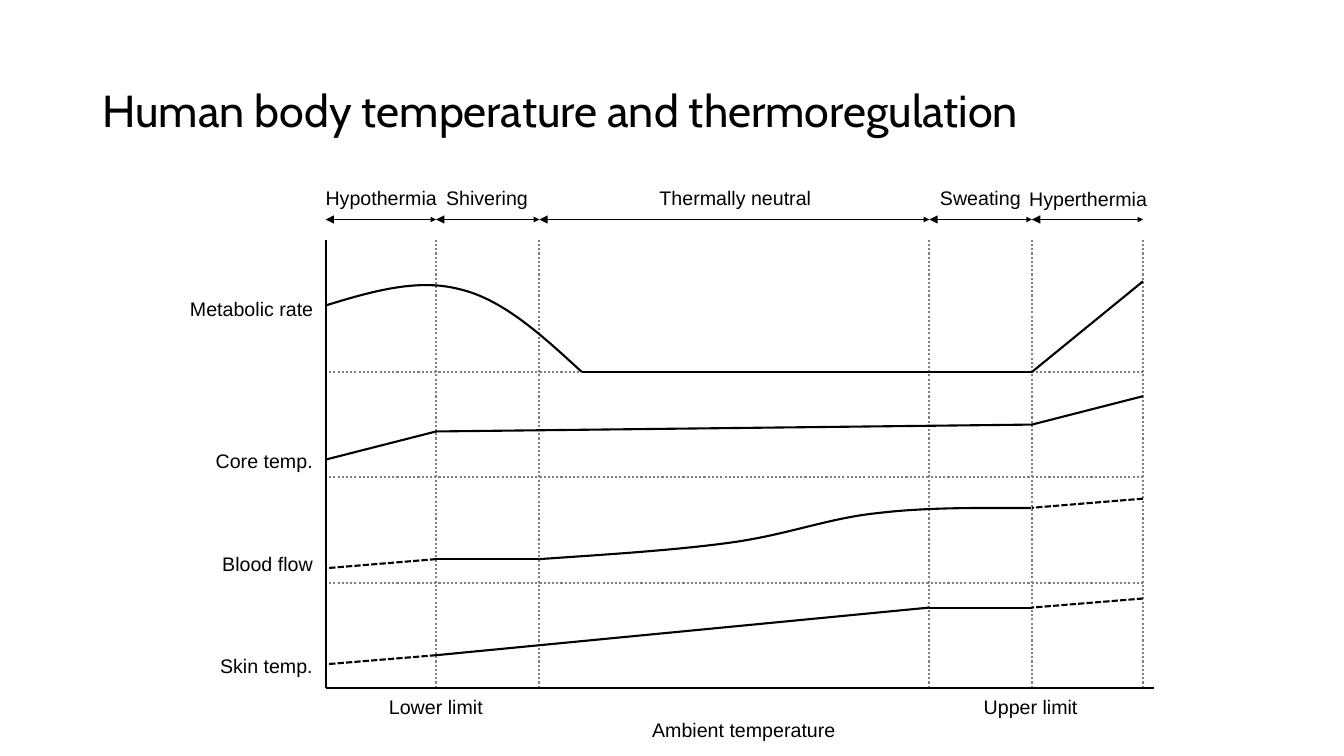
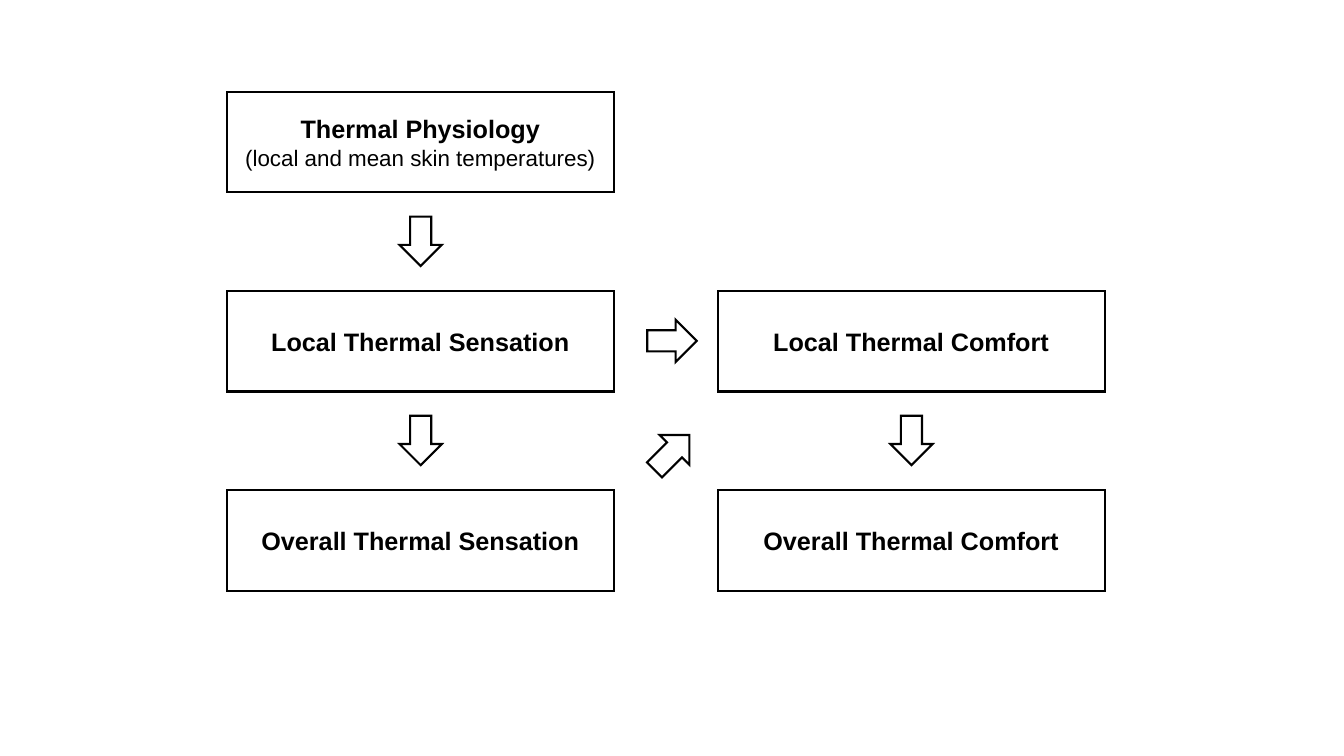
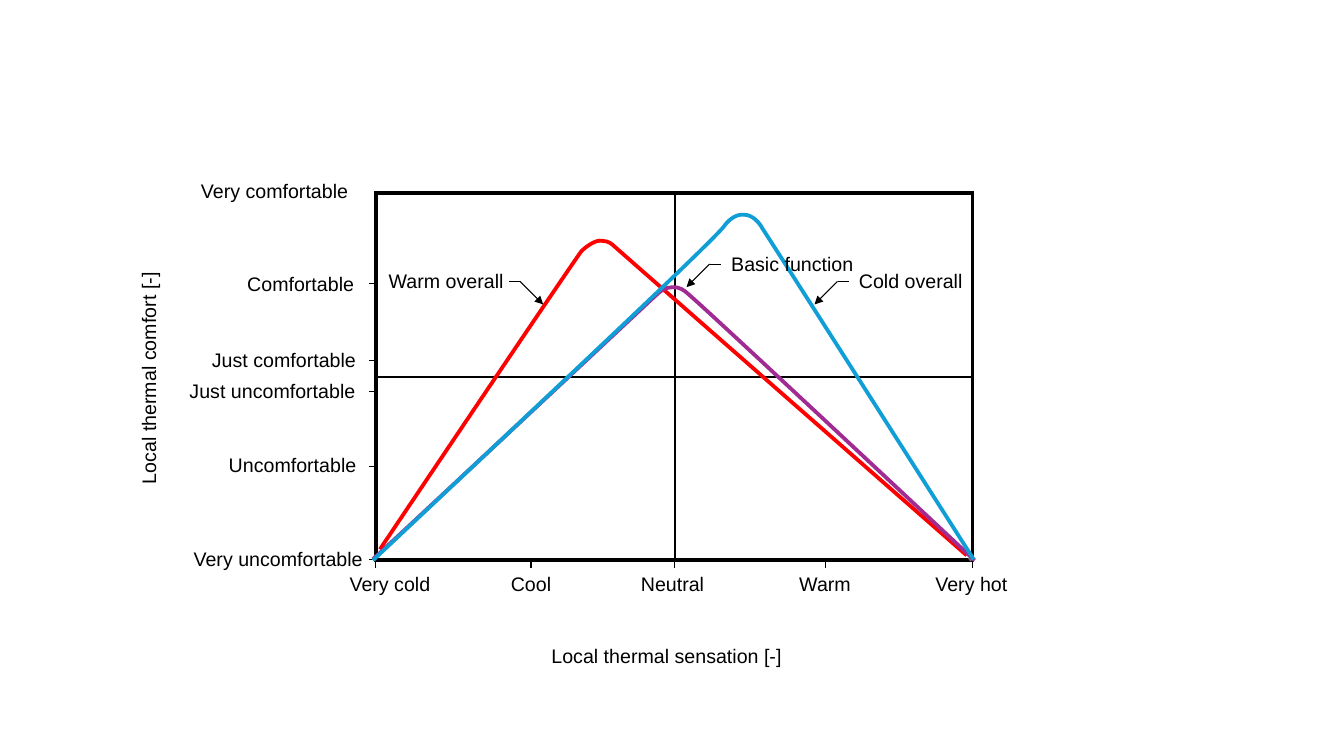
from lxml import etree
from pptx import Presentation
from pptx.dml.color import RGBColor
from pptx.enum import dml, shapes, text
from pptx.oxml.ns import qn
from pptx.util import Pt

BLACK = RGBColor(0x00, 0x00, 0x00)
WHITE = RGBColor(0xFF, 0xFF, 0xFF)
GRID_GREY = RGBColor(0x80, 0x80, 0x80)
STUB_GREY = RGBColor(0x72, 0x71, 0x71)
RED = RGBColor(0xFF, 0x00, 0x00)
PURPLE = RGBColor(0xA0, 0x2B, 0x93)
BLUE = RGBColor(0x0F, 0x9E, 0xD5)

DOTTED = dml.MSO_LINE.ROUND_DOT
DASHED = dml.MSO_LINE.SQUARE_DOT
LEFT, CENTER, RIGHT = text.PP_ALIGN.LEFT, text.PP_ALIGN.CENTER, text.PP_ALIGN.RIGHT


class Deck:
    """Shared style and the slide being drawn; all lengths are points."""

    body_font, title_font = "Arial", "Cabin"
    label_size = 14
    stroke = 1.5

    def __init__(self):
        self.presentation = Presentation()
        self.presentation.slide_width = Pt(960)
        self.presentation.slide_height = Pt(540)
        self.slide = None

    def new_slide(self, title=None):
        layouts = self.presentation.slide_layouts
        layout = layouts.get_by_name("Title Only" if title else "Blank")
        self.slide = self.presentation.slides.add_slide(layout)
        if title:
            shape = self.slide.shapes.title
            shape.left, shape.top, shape.width, shape.height = Pt(66), Pt(28.5), Pt(828), Pt(104.4)
            frame = shape.text_frame
            frame.text = title
            frame.auto_size = text.MSO_AUTO_SIZE.NONE
            frame.vertical_anchor = text.MSO_ANCHOR.MIDDLE
            paragraph = frame.paragraphs[0]
            paragraph.line_spacing = 0.9
            self.format(paragraph, 32, LEFT, font=self.title_font)

    def format(self, paragraph, size, align, bold=False, font=None):
        paragraph.alignment = align
        for run in paragraph.runs:
            run.font.name = font or self.body_font
            run.font.size = Pt(size)
            run.font.bold = bold
            run.font.color.rgb = BLACK

    def write_label(self, shape, words, align, wrap):
        frame = shape.text_frame
        frame.word_wrap = wrap
        frame.auto_size = text.MSO_AUTO_SIZE.SHAPE_TO_FIT_TEXT
        frame.text = words
        self.format(frame.paragraphs[0], self.label_size, align)
        return frame

    def tight_label(self, words, left, top, width, align=CENTER, plate=True):
        """A label without margins, on a white plate or in a text box."""
        place = Pt(left), Pt(top), Pt(width), Pt(17.1)
        if plate:
            shape = self.slide.shapes.add_shape(shapes.MSO_SHAPE.RECTANGLE, *place)
            self.paint(shape, WHITE)
            shape.line.fill.background()
        else:
            shape = self.slide.shapes.add_textbox(*place)
        frame = self.write_label(shape, words, align, True)
        frame.margin_left = frame.margin_right = frame.margin_top = frame.margin_bottom = 0

    def label(self, words, left, top, width, align=LEFT, rotation=0):
        """A text box that takes the width of its line."""
        shape = self.slide.shapes.add_textbox(Pt(left), Pt(top), Pt(width), Pt(24.2))
        shape.rotation = rotation
        self.write_label(shape, words, align, False)

    def line(self, start, end, color=BLACK, width=stroke, dash=None, heads=()):
        """A connector; heads pairs an end of the line with a head size."""
        points = [Pt(value) for value in (*start, *end)]
        connector = self.slide.shapes.add_connector(shapes.MSO_CONNECTOR.STRAIGHT, *points)
        connector.line.color.rgb = color
        connector.line.width = Pt(width)
        if dash:
            connector.line.dash_style = dash
        properties = connector._element.spPr
        for head, size in heads:
            etree.SubElement(properties.find(qn("a:ln")), qn(f"a:{head}"),
                             type="triangle", w=size, len=size)
        etree.SubElement(properties, qn("a:effectLst"))

    def outline(self, *points, color=BLACK, width=stroke, curved=False, closed=False):
        """A freeform; when curved, each three points end one cubic curve."""
        start, *others = [(Pt(x), Pt(y)) for x, y in points]
        builder = self.slide.shapes.build_freeform(*start)
        builder.add_line_segments(others, close=closed)
        shape = builder.convert_to_shape()
        self.paint(shape, None, color, width)
        drawing = shape._element.find(".//" + qn("a:path"))
        if curved:
            segments = drawing.findall(qn("a:lnTo"))
            for index in range(0, len(segments), 3):
                cubic = etree.SubElement(drawing, qn("a:cubicBezTo"))
                for segment in segments[index:index + 3]:
                    cubic.append(segment[0])
                    drawing.remove(segment)
        # A straight line still needs a box with some extent
        flat = Pt(2.9)
        if shape.width == 0:
            shape.width = flat
            drawing.set("w", str(int(flat)))
        if shape.height == 0:
            shape.height = flat
            drawing.set("h", str(int(flat)))

    def paint(self, shape, fill, color=BLACK, width=stroke):
        shape.shadow.inherit = False
        if fill is None:
            shape.fill.background()
        else:
            shape.fill.solid()
            shape.fill.fore_color.rgb = fill
        shape.line.color.rgb = color
        shape.line.width = Pt(width)
        etree.SubElement(shape._element.spPr.find(qn("a:ln")), qn("a:miter"), lim="800000")

    def box(self, left, top, width, height, heading, detail):
        shape = self.slide.shapes.add_shape(
            shapes.MSO_SHAPE.RECTANGLE, Pt(left), Pt(top), Pt(width), Pt(height))
        self.paint(shape, WHITE)
        frame = shape.text_frame
        frame.vertical_anchor = text.MSO_ANCHOR.MIDDLE
        frame.text = heading
        self.format(frame.paragraphs[0], 18, CENTER, bold=True)
        if detail:
            paragraph = frame.add_paragraph()
            paragraph.text = detail
            self.format(paragraph, 16, CENTER)

    def block_arrow(self, x, y, rotation=0, width=35.3, height=30.2):
        shape = self.slide.shapes.add_shape(
            shapes.MSO_SHAPE.RIGHT_ARROW, Pt(x - width / 2), Pt(y - height / 2),
            Pt(width), Pt(height))
        shape.rotation = rotation
        self.paint(shape, WHITE)

    def leader(self, x, y, side):
        """Callout elbow; side is 1 when the arrow points right, -1 left."""
        self.line((x, y), (x + side * 16.5, y + 16.5), width=0.75, heads=[("tailEnd", "med")])
        self.line((x, y), (x - side * 7.9, y), width=0.75)


def thermoregulation(deck):
    deck.new_slide("Human body temperature and thermoregulation")
    limits = [232.6, 311.5, 385.2, 663.8, 737.1, 816.5]
    cold, lower, shiver, sweat, upper, hot = limits
    top, bottom, base = 171.4, 491.3, 265.7

    # Grid and axes
    for x in limits[1:]:
        deck.line((x, bottom), (x, top), GRID_GREY, dash=DOTTED)
    for y in (base, 340.6, 416.6):
        deck.line((hot, y), (cold, y), GRID_GREY, dash=DOTTED)
    deck.line((cold, bottom), (cold, top))
    deck.line((824.4, bottom), (cold, bottom))

    # Zones above the diagram
    for start, end in zip(limits, limits[1:]):
        deck.line((start, 156.8), (end, 156.8), width=1,
                  heads=[("headEnd", "med"), ("tailEnd", "sm")])
    for zone, left, y, width in [("Hypothermia", 223.7, 132.9, 97.2),
                                 ("Shivering", 299.3, 132.9, 97.2),
                                 ("Sweating", 663.6, 132.9, 73.4),
                                 ("Hyperthermia", 733.7, 133.6, 87.1)]:
        deck.tight_label(zone, left, y, width, plate=False)
    deck.tight_label("Thermally neutral", 463, 132.9, 124.6)

    # Metabolic rate
    deck.outline((415.6, base), (387.4, 239.8), (359.3, 213.8), (328.3, 206.6),
                 (298.1, 198.7), (265.7, 208.1), (cold, 218.2), curved=True)
    # Blood flow
    deck.outline((shiver, 399.4), (434.2, 396), (482.4, 393.1), (523.4, 387.4),
                 (563.8, 381.6), (591.8, 370.1), (627.1, 366.5),
                 (663.1, 362.2), (699.8, 362.9), (736.6, 362.9), curved=True)
    # Straight parts of all four curves
    for start, end in [
        ((upper, base), (416, base)), ((hot, 200.9), (upper, base)),
        ((lower, 308.2), (cold, 328.3)), ((upper, 303.3), (lower, 308.2)),
        ((hot, 283), (upper, 303.3)), ((shiver, 399.4), (lower, 399.4)),
        ((sweat, 434), (lower, 468)), ((upper, 434), (sweat, 434)),
    ]:
        deck.line(start, end)
    for left_y, right_y in ((399.4, 362.7), (468, 434)):
        deck.line((lower, left_y), (cold, left_y + 6.5), dash=DASHED)
        deck.line((hot, right_y - 6.5), (upper, right_y), dash=DASHED)

    # Axis labels
    for row, y in (("Core temp.", 320.4), ("Blood flow", 394.3), ("Skin temp.", 466.6)):
        deck.tight_label(row, 146.5, y, 77, RIGHT)
    deck.tight_label("Metabolic rate", 131.6, 211.7, 92.2, RIGHT)
    deck.tight_label("Lower limit", 272.9, 496, 77)
    deck.tight_label("Upper limit", 697.7, 496, 77)
    deck.tight_label("Ambient temperature", 442.8, 512.6, 177.1)


def sensation_and_comfort(deck):
    deck.new_slide()
    width, height, pitch = 276.5, 72, 142.2
    columns, first_row = (162, 512.6), 65.5
    for column, row, heading, detail in [
        (0, 0, "Thermal Physiology", "(local and mean skin temperatures)"),
        (0, 1, "Local Thermal Sensation", ""),
        (0, 2, "Overall Thermal Sensation", ""),
        (1, 1, "Local Thermal Comfort", ""),
        (1, 2, "Overall Thermal Comfort", ""),
    ]:
        deck.box(columns[column], first_row + row * pitch, width, height, heading, detail)

    # Arrows down sit in the middle of the gap below a box
    for column, row in ((0, 0), (0, 1), (1, 1)):
        deck.block_arrow(columns[column] + width / 2 + 0.2,
                         first_row + row * pitch + (height + pitch) / 2 - 0.2, 90)
    deck.block_arrow(480, 243.5)
    deck.block_arrow(480, 323.2, 315)


def comfort_curves(deck):
    deck.new_slide()
    left, right, top, bottom = 268.4, 694.6, 138, 400.2
    middle_x, middle_y = 482, 269.3

    # Plot frame and centre lines
    deck.outline((right, bottom), (left, bottom), (left, top), (right, top),
                 width=2.72, closed=True)
    deck.outline((right, middle_y), (left, middle_y), width=1.36)
    deck.outline((middle_x, top), (middle_x, bottom), width=1.36)

    # Ticks and axis labels
    for words, x, width, tick in [("Very cold", 242.6, 72.7, left),
                                  ("Cool", 357.8, 43.9, 379.4),
                                  ("Neutral", 450.7, 59.8, 481.7),
                                  ("Warm", 563.8, 51.8, 589.7),
                                  ("Very hot", 661, 66.2, right)]:
        deck.outline((tick, 405.4), (tick, 401), width=0.89)
        deck.label(words, x, 405.1, width)
    for words, x, y, width in [("Very comfortable", 136.4, 124.4, 120.2),
                               ("Comfortable", 169.5, 190.8, 91.4),
                               ("Just comfortable", 144.3, 244.8, 118.1),
                               ("Just uncomfortable", 128.3, 267.1, 133.9),
                               ("Uncomfortable", 156.3, 320.2, 105.8),
                               ("Very uncomfortable", 131.2, 386.8, 136.1)]:
        deck.label(words, x, y, width)
    for tick in (202.3, 257.6, 279.9, 333.2, 399.7):
        deck.outline((263.5, tick), (267.8, tick), width=0.89)
    deck.label("Local thermal sensation [-]", 386.8, 456.4, 180)
    deck.label("Local thermal comfort [-]", 23, 257.8, 166.3, rotation=270)

    # Curves: warm overall, basic function, cold overall
    deck.outline((267.1, 399.6), (268.6, 396.7), color=STUB_GREY, width=2.72)
    deck.outline((692.6, 398.2), (694.1, 400.3), color=STUB_GREY, width=2.72)
    for color, *points in [
        (RED, (271.4, 392.4), (352.1, 272.2), (411.1, 185), (415.4, 179.3),
         (419, 175.7), (423.4, 173.5), (423.4, 173.5),
         (424.8, 172.8), (427.7, 171.4), (430.6, 172.1),
         (434.9, 172.1), (437.8, 175), (438.5, 175.7),
         (444.2, 180.7), (545.8, 270), (690.5, 396.7)),
        (PURPLE, (266.4, 399.6), (380.2, 293.8), (463, 216), (470.2, 209.5),
         (471.6, 208.1), (475.2, 205.2), (480.2, 205.2),
         (485.3, 204.5), (489.6, 208.1), (491, 209.5),
         (499, 216), (582.5, 293.8), (696.2, 400.3)),
        (BLUE, (266.4, 400.3), (408.2, 267.1), (506.2, 175), (517, 162),
         (518.4, 159.8), (524.2, 152.6), (531.4, 153.4),
         (537.8, 153.4), (542.9, 159.8), (544.3, 162.7),
         (553.7, 177.1), (613.4, 270.7), (695.5, 399.6)),
    ]:
        deck.outline(*points, color=color, width=2.72, curved=True)

    # Callouts
    for words, x, y, width, align, elbow_x, side in [
        ("Warm overall ", 270, 188.8, 100.8, RIGHT, 371.5, 1),
        ("Basic function", 515.2, 176.4, 102.2, LEFT, 506.9, -1),
        ("Cold overall", 606.4, 188.8, 92.9, LEFT, 598.3, -1),
    ]:
        deck.label(words, x, y, width, align)
        deck.leader(elbow_x, y + 12.2, side)


def main():
    deck = Deck()
    thermoregulation(deck)
    sensation_and_comfort(deck)
    comfort_curves(deck)
    deck.presentation.save("out.pptx")


if __name__ == "__main__":
    main()
